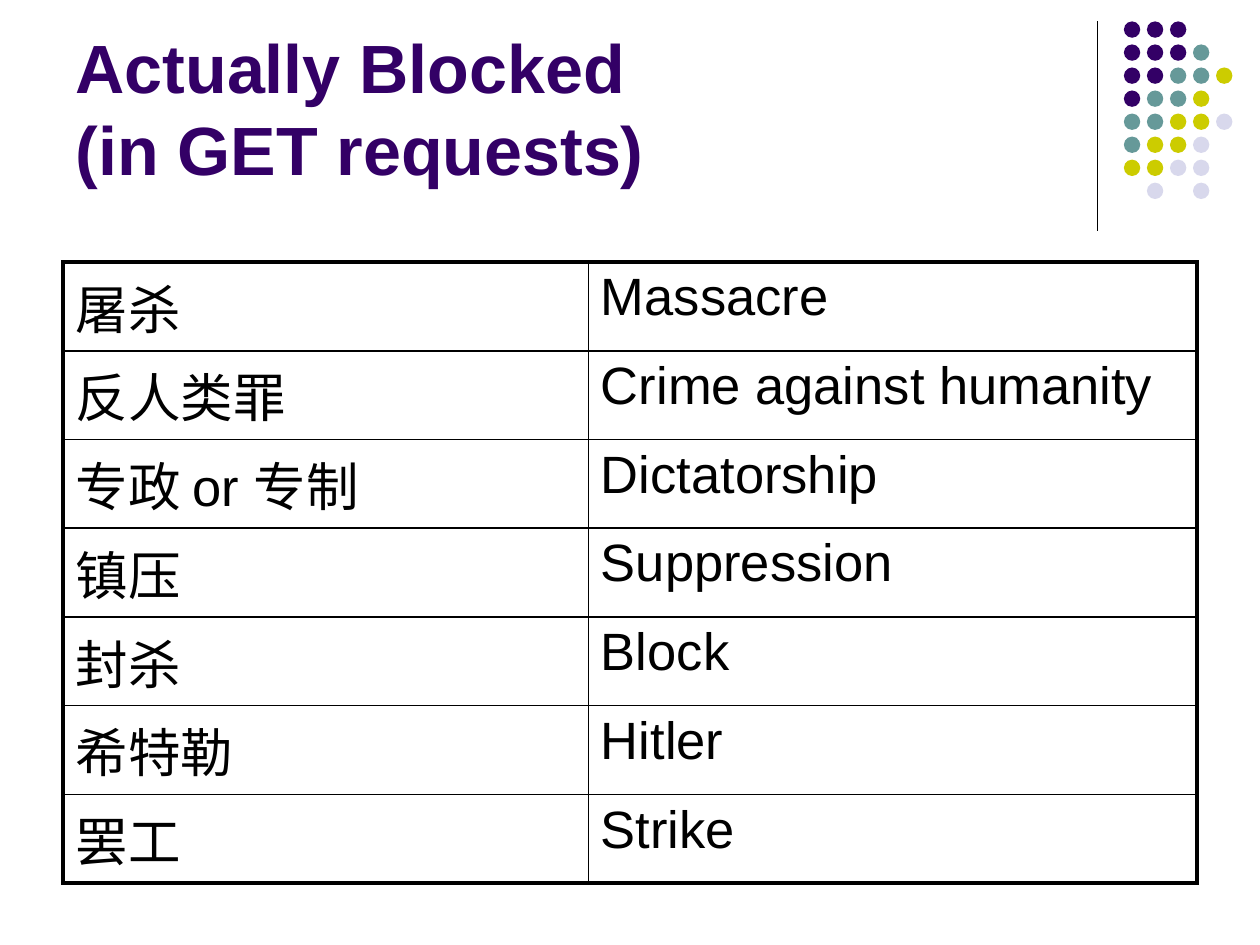
from lxml import etree
from pptx import Presentation
from pptx import util as u
from pptx.dml.color import RGBColor
from pptx.enum import shapes, text
from pptx.oxml import ns

INK, PURPLE = "000000", "330066"


def color(hex_code):
    return RGBColor.from_string(hex_code)


def add_border(cell, side, points):
    """Put one solid border line ahead of the cell's fill."""
    properties = cell._tc.get_or_add_tcPr()
    line = etree.Element(ns.qn(f"a:ln{side}"), w=str(u.Pt(points)))
    fill = etree.SubElement(line, ns.qn("a:solidFill"))
    etree.SubElement(fill, ns.qn("a:srgbClr"), val=INK)
    properties.insert("LRTB".index(side), line)


deck = Presentation()
deck.slide_width, deck.slide_height = u.Inches(10), u.Inches(7.5)
page = deck.slides.add_slide(deck.slide_layouts[6])

# Vertical rule beside the dots
rule = page.shapes.add_connector(
    shapes.MSO_CONNECTOR.STRAIGHT,
    u.Inches(8.71), u.Inches(0.17), u.Inches(8.71), u.Inches(1.83))
rule.line.color.rgb = color(INK)
rule.line.width = u.Pt(0.75)
etree.SubElement(rule._element.spPr, ns.qn("a:effectLst"))

# Dot pattern: one letter per dot, a point for a gap
dot_colors = {"P": PURPLE, "T": "669999", "Y": "CCCC00", "L": "D8D8EC"}
dot_rows = ["PPP..", "PPPT.", "PPTTY", "PTTY.",
            "TTYYL", "TYYL.", "YYLL.", ".L.L."]
dot_size, pitch = 0.13, 1.28 / 7
for row, letters in enumerate(dot_rows):
    for column, letter in enumerate(letters):
        if letter == ".":
            continue
        dot = page.shapes.add_shape(
            shapes.MSO_SHAPE.OVAL,
            u.Inches(8.92 + column * pitch), u.Inches(0.17 + row * pitch),
            u.Inches(dot_size), u.Inches(dot_size))
        dot.shadow.inherit = False
        dot.fill.solid()
        dot.fill.fore_color.rgb = color(dot_colors[letter])
        dot.line.fill.background()

# Title
box = page.shapes.add_textbox(
    u.Inches(0.5), u.Inches(0.13), u.Inches(8.25), u.Inches(1.42))
box.text_frame.word_wrap = True
box.text_frame.vertical_anchor = text.MSO_ANCHOR.BOTTOM
para = box.text_frame.paragraphs[0]
para.text = "Actually Blocked\n(in GET requests)"
for span in para.runs:
    span.font.name = "Arial"
    span.font.size = u.Pt(39)
    span.font.bold = True
    span.font.color.rgb = color(PURPLE)

# Table of blocked words
words = [
    ("屠杀", "Massacre"),
    ("反人类罪", "Crime against humanity"),
    ("专政 or 专制", "Dictatorship"),
    ("镇压", "Suppression"),
    ("封杀", "Block"),
    ("希特勒", "Hitler"),
    ("罢工", "Strike"),
]
table = page.shapes.add_table(
    len(words), 2, u.Inches(0.5), u.Inches(2.08),
    u.Inches(9), u.Inches(4.93)).table
table.first_row = table.horz_banding = False
for column, width in zip(table.columns, (4.17, 4.83)):
    column.width = u.Inches(width)

thick, thin = 2.25, 1
for row, pair in enumerate(words):
    for column, word in enumerate(pair):
        cell = table.cell(row, column)
        cell.fill.background()
        outer_sides = {"L": column == 0, "R": column == 1,
                       "T": row == 0, "B": row == len(words) - 1}
        for side, is_outer in outer_sides.items():
            add_border(cell, side, thick if is_outer else thin)
        para = cell.text_frame.paragraphs[0]
        para.text = word
        para.space_before = u.Pt(6)
        span = para.runs[0]
        span.font.name = "Arial"
        span.font.size = u.Pt(30)
        span.font.color.rgb = color(INK)

deck.save("out.pptx")
